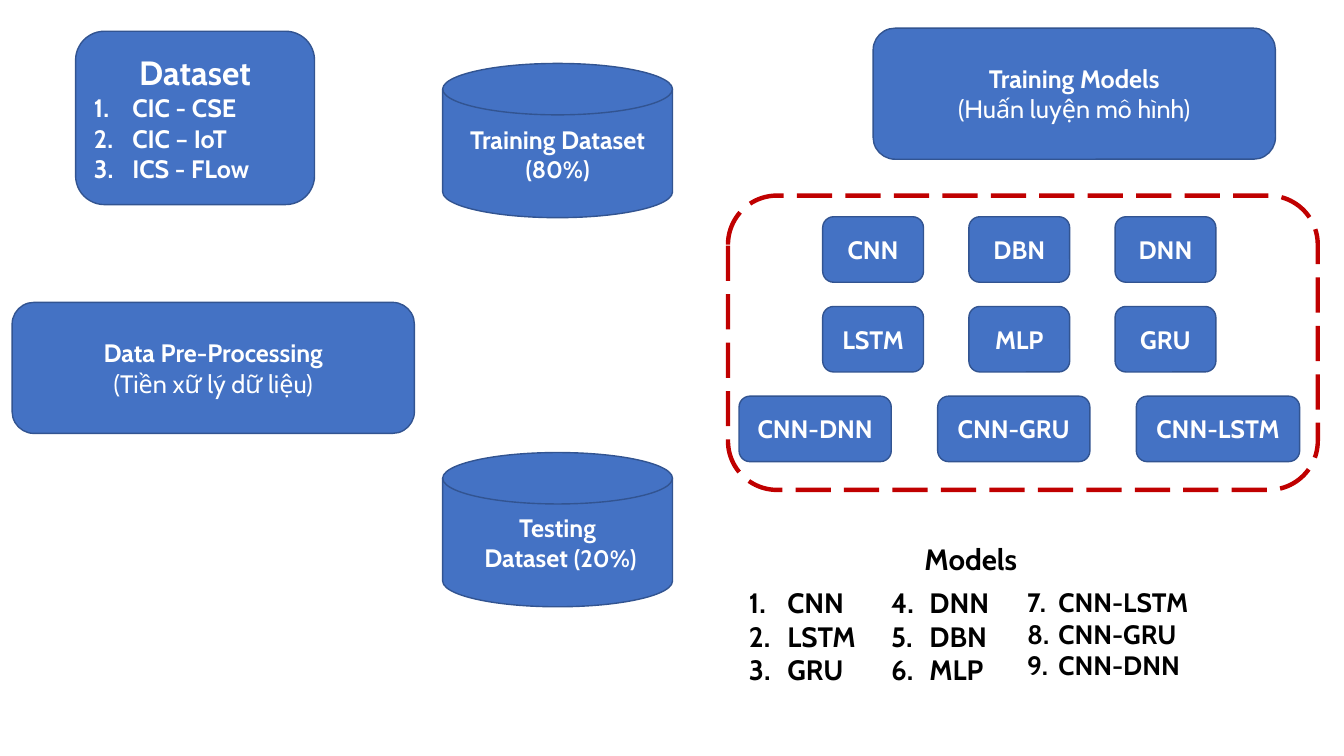
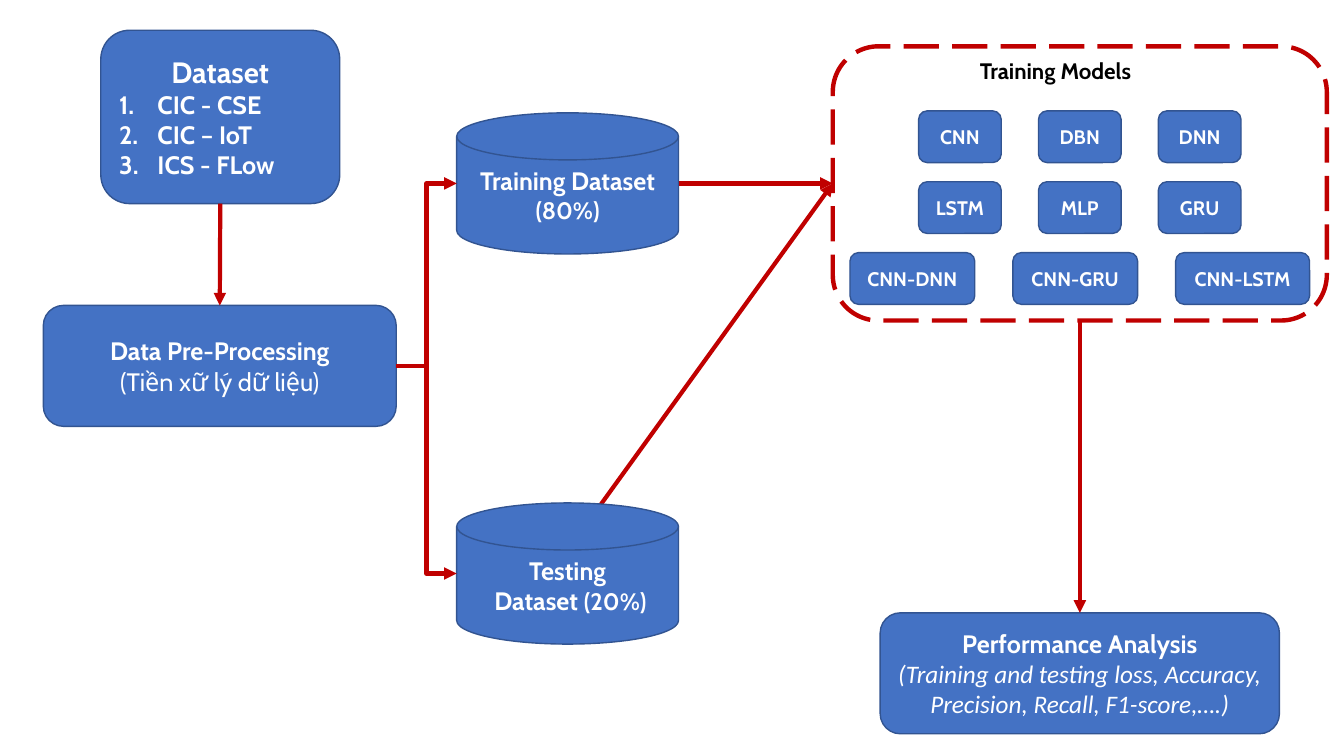
from dataclasses import dataclass

from lxml.etree import SubElement
from pptx import Presentation
from pptx.dml.color import RGBColor
from pptx.enum.dml import MSO_LINE as Dash
from pptx.enum.shapes import MSO_CONNECTOR as Link, MSO_SHAPE as Preset
from pptx.enum.text import MSO_ANCHOR as Anchor, PP_ALIGN as Align
from pptx.oxml.ns import qn
from pptx.util import Pt

PX = 9144  # EMU in one px: 100 px to the inch
TOP, LEFT, BOTTOM, RIGHT = range(4)
SIDE_POINTS = {TOP: (0.5, 0), LEFT: (0, 0.5), BOTTOM: (0.5, 1), RIGHT: (1, 0.5)}


@dataclass(frozen=True)
class Theme:
    font: str = "Cabin"
    detail_font: str = "Calibri"
    fill: str = "4472C4"
    outline: str = "325491"
    accent: str = "C00000"
    light: str = "FFFFFF"
    dark: str = "000000"
    body: int = 18
    share: int = 17
    outline_width: float = 1
    arrow_width: float = 3
    frame_width: float = 3.15


@dataclass
class Line:
    """One paragraph: runs of (text, format values); number starts a numbered list."""
    runs: list
    number: int = 0
    indent: int = 38


def px(*lengths):
    return [round(length * PX) for length in lengths]


def numbered(names, start=1, indent=38, **values):
    return [Line([(name, values)], start, indent) for name in names]


class Deck:
    def __init__(self, theme):
        self.theme = theme
        self.presentation = Presentation()
        self.presentation.slide_width, self.presentation.slide_height = px(1333, 750)
        self.slide = None

    def new_slide(self):
        blank = self.presentation.slide_layouts[6]
        self.slide = self.presentation.slides.add_slide(blank)

    def add_lines(self, shape, lines, color, align, anchor):
        frame = shape.text_frame
        frame.word_wrap = True
        frame.vertical_anchor = anchor
        for index, line in enumerate(lines):
            paragraph = frame.paragraphs[0] if index == 0 else frame.add_paragraph()
            paragraph.alignment = Align.LEFT if line.number else align
            if line.number:
                self.number(paragraph, line)
            for text, values in line.runs:
                run = paragraph.add_run()
                run.text = text
                values = {"name": self.theme.font, "size": self.theme.body,
                          "bold": True, **values}
                values["size"] = Pt(values["size"])
                for name, value in values.items():
                    setattr(run.font, name, value)
                run.font.color.rgb = RGBColor.from_string(color)

    def number(self, paragraph, line):
        properties = paragraph._p.get_or_add_pPr()
        indent, = px(line.indent)
        properties.set("marL", str(indent))
        properties.set("indent", str(-indent))
        SubElement(properties, qn("a:buFont"), typeface="+mj-lt")
        SubElement(properties, qn("a:buAutoNum"), type="arabicPeriod",
                   startAt=str(line.number))

    def shape(self, preset, at, fill, outline, width):
        shape = self.slide.shapes.add_shape(preset, *px(*at))
        shape.shadow.inherit = False
        shape.fill.solid()
        shape.fill.fore_color.rgb = RGBColor.from_string(fill)
        shape.line.color.rgb = RGBColor.from_string(outline)
        shape.line.width = Pt(width)
        return shape

    def block(self, preset, at, lines):
        theme = self.theme
        shape = self.shape(preset, at, theme.fill, theme.outline, theme.outline_width)
        self.add_lines(shape, lines, theme.light, Align.CENTER, Anchor.MIDDLE)
        return shape

    def label(self, at, lines):
        shape = self.slide.shapes.add_textbox(*px(*at))
        self.add_lines(shape, lines, self.theme.dark, Align.LEFT, Anchor.TOP)

    def dataset(self, at, heading_size):
        lines = [Line([("Dataset", {"size": heading_size})]),
                 *numbered(["CIC - CSE", "CIC – IoT", "ICS - FLow"])]
        return self.block(Preset.ROUNDED_RECTANGLE, at, lines)

    def step(self, at, title, detail, **values):
        lines = [Line([(title, {})]), Line([(detail, {"bold": False, **values})])]
        return self.block(Preset.FLOWCHART_ALTERNATE_PROCESS, at, lines)

    def preprocessing(self, at):
        return self.step(at, "Data Pre-Processing", "(Tiền xữ lý dữ liệu)")

    def dataset_disks(self, left, tops, width, height):
        """Draw the training and testing disks, one above the other."""
        share = {"size": self.theme.share}
        contents = [
            [Line([("Training Dataset ", {}), ("(80%)", share)])],
            [Line([("Testing", {})]), Line([(" Dataset ", {}), ("(20%)", share)])],
        ]
        return [self.block(Preset.FLOWCHART_MAGNETIC_DISK, (left, top, width, height), lines)
                for top, lines in zip(tops, contents)]

    def models_frame(self, at):
        theme = self.theme
        frame = self.shape(Preset.FLOWCHART_ALTERNATE_PROCESS, at, theme.light,
                           theme.accent, theme.frame_width)
        frame.line.dash_style = Dash.LONG_DASH
        return frame

    def model_grid(self, left, top, scale_x, scale_y, size):
        """Two rows of narrow boxes above a row of wide ones that starts at left."""
        rows = [  # offset, column pitch, {model: width}
            (83, 145, {"CNN": 100, "DBN": 100, "DNN": 100}),
            (83, 145, {"LSTM": 100, "MLP": 100, "GRU": 100}),
            (0, 197, {"CNN-DNN": 151, "CNN-GRU": 151, "CNN-LSTM": 162}),
        ]
        for row, (offset, pitch, models) in enumerate(rows):
            for column, (model, width) in enumerate(models.items()):
                at = (left + (offset + column * pitch) * scale_x,
                      top + row * 89 * scale_y, width * scale_x, 65 * scale_y)
                self.block(Preset.ROUNDED_RECTANGLE, at, [Line([(model, {"size": size})])])

    def arrow(self, start, end, link=Link.STRAIGHT):
        """Join two (shape, side) ends; disks number their sites differently and stay unglued."""
        points = []
        for shape, side in (start, end):
            across, down = SIDE_POINTS[side]
            points += [round(shape.left + across * shape.width),
                       round(shape.top + down * shape.height)]
        connector = self.slide.shapes.add_connector(link, *points)
        glue = (connector.begin_connect, connector.end_connect)
        for connect, (shape, side) in zip(glue, (start, end)):
            if shape.auto_shape_type != Preset.FLOWCHART_MAGNETIC_DISK:
                connect(shape, side)
        connector.line.color.rgb = RGBColor.from_string(self.theme.accent)
        connector.line.width = Pt(self.theme.arrow_width)
        SubElement(connector.line._get_or_add_ln(), qn("a:tailEnd"), type="triangle")
        SubElement(connector._element.spPr, qn("a:effectLst"))
        return connector

    def send_to_back(self, shape):
        self.slide.shapes._spTree.insert(2, shape._element)


def build_components(deck):
    deck.new_slide()
    deck.dataset((75, 31, 237, 172), heading_size=24)
    deck.dataset_disks(439, (63, 449), 228, 153)
    deck.preprocessing((12, 300, 399, 130))
    deck.step((866, 28, 399, 130), "Training Models", "(Huấn luyện mô hình)")
    deck.models_frame((722, 194, 585, 292))
    deck.model_grid(733, 215, 1, 1, size=18)
    deck.label((907, 532, 125, 45), [Line([("Models", {"size": 21})])])
    deck.label((733, 576, 239, 111), numbered(["CNN", "LSTM", "GRU"], size=20))
    deck.label((874, 576, 151, 111), numbered(["DNN", "DBN", "MLP"], start=4, size=20))
    deck.label((1009, 576, 217, 106),
               numbered(["CNN-LSTM", "CNN-GRU", "CNN-DNN"], start=7, indent=31, size=19))


def build_workflow(deck):
    deck.new_slide()
    dataset = deck.dataset((100, 30, 237, 172), heading_size=21)
    training, testing = deck.dataset_disks(453, (112, 499), 220, 140)
    preprocessing = deck.preprocessing((43, 303, 350, 120))
    frame = deck.models_frame((826, 46, 490, 272))
    deck.model_grid(843, 110, 0.82, 0.79, size=14)
    deck.label((962, 52, 200, 37), [Line([("Training Models", {"size": 16})])])
    analysis = deck.step(
        (873, 608, 396, 120), "Performance Analysis",
        "(Training and testing loss, Accuracy, Precision, Recall, F1-score,….)",
        name=deck.theme.detail_font, italic=True)

    deck.arrow((dataset, BOTTOM), (preprocessing, TOP))
    for disk in (training, testing):
        deck.arrow((preprocessing, RIGHT), (disk, LEFT), Link.ELBOW)
    deck.arrow((training, RIGHT), (frame, LEFT))
    deck.arrow((frame, BOTTOM), (analysis, TOP))
    testing_arrow = deck.arrow((testing, TOP), (frame, LEFT))
    testing_arrow.begin_y += px(47)[0]  # starts on the disk's inner rim
    deck.send_to_back(testing_arrow)


def main():
    deck = Deck(Theme())
    build_components(deck)
    build_workflow(deck)
    deck.presentation.save("out.pptx")


if __name__ == "__main__":
    main()
